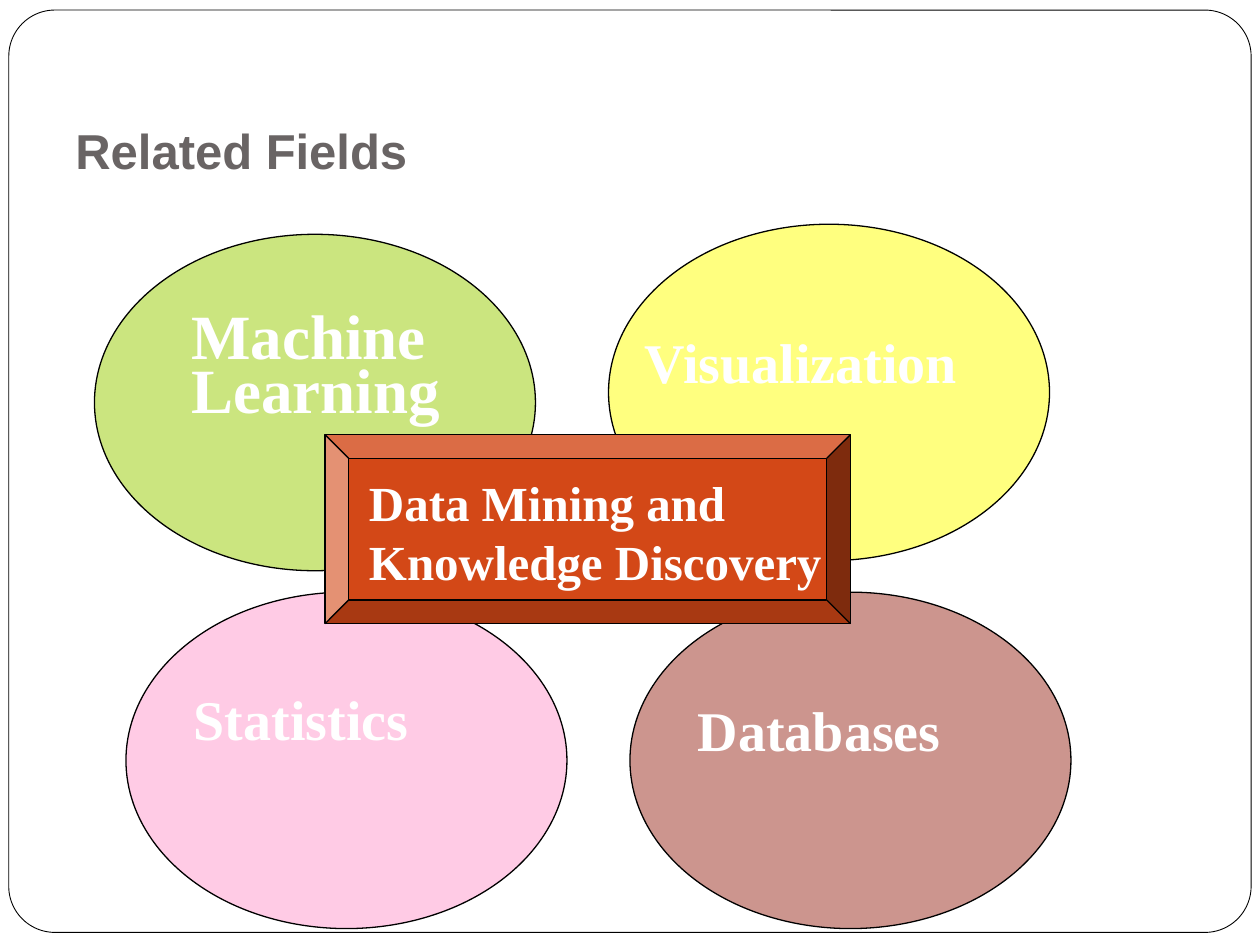
from pptx import Presentation
from pptx.dml.color import RGBColor
from pptx.enum.shapes import MSO_SHAPE as Shape
from pptx.enum.text import MSO_ANCHOR as Anchor, MSO_AUTO_SIZE as AutoSize
from pptx.oxml.ns import qn
from pptx.util import Inches, Pt
from lxml import etree

COLORS = {
    "white": "FFFFFF",
    "black": "000000",
    "title": "696464",
    "databases": "9B2D1F",
    "statistics": "FF99CC",
    "visualization": "FFFF00",
    "learning": "99CC00",
    "mining": "D34817",
}

deck = Presentation()
deck.slide_width, deck.slide_height = Inches(10), Inches(7.5)
page = deck.slides.add_slide(deck.slide_layouts[6])


def add_outlined(kind, left, top, width, height, color, line_width=0.75):
    shape = page.shapes.add_shape(
        kind, Inches(left), Inches(top), Inches(width), Inches(height))
    shape.shadow.inherit = False
    shape.fill.solid()
    shape.fill.fore_color.rgb = RGBColor.from_string(COLORS[color])
    shape.line.color.rgb = RGBColor.from_string(COLORS["black"])
    shape.line.width = Pt(line_width)
    return shape


def add_label(text, left, top, width, height, size, font="Times New Roman",
              color="white", spacing=1.0, gap=0, wrap=False):
    box = page.shapes.add_textbox(
        Inches(left), Inches(top), Inches(width), Inches(height))
    frame = box.text_frame
    frame.text = text
    frame.word_wrap = wrap
    for index, para in enumerate(frame.paragraphs):
        para.line_spacing = spacing
        para.space_before = Pt(gap if index else 0)
        para.font.name = font
        para.font.size = Pt(size)
        para.font.bold = True
        para.font.color.rgb = RGBColor.from_string(COLORS[color])
    return frame


border = add_outlined(Shape.ROUNDED_RECTANGLE, 0.07, 0.08, 9.86, 7.32, "white", 0.5)
border.adjustments[0] = 0.05

for left, top, color in [
    (5, 4.7, "databases"),
    (1, 4.7, "statistics"),
    (4.83, 1.78, "visualization"),
    (0.75, 1.86, "learning"),
]:
    ellipse = add_outlined(Shape.OVAL, left, top, 3.5, 2.67, color)
    tint = ellipse.element.spPr.find(qn("a:solidFill")).find(qn("a:srgbClr"))
    etree.SubElement(tint, qn("a:alpha"), val="50000")

add_outlined(Shape.BEVEL, 2.58, 3.45, 4.17, 1.5, "mining")

title = add_label("Related Fields", 0.5, 0.78, 9.08, 0.82, 28, "Arial", "title", wrap=True)
title.vertical_anchor = Anchor.MIDDLE

add_label("Machine\nLearning", 1.42, 2.61, 2.58, 0.77, 36, spacing=0.4, gap=13.5, wrap=True)

for text, left, top, width in [
    ("Statistics", 1.44, 5.44, 2.4),
    ("Databases", 5.44, 5.53, 2.76),
    ("Visualization", 5.02, 2.61, 3.32),
]:
    add_label(text, left, top, width, 0.58, 32, spacing=0.9)

mining = add_label("Data Mining and\nKnowledge Discovery", 2.83, 3.7, 3.79, 1.04, 28)
mining.auto_size = AutoSize.SHAPE_TO_FIT_TEXT

deck.save("out.pptx")
